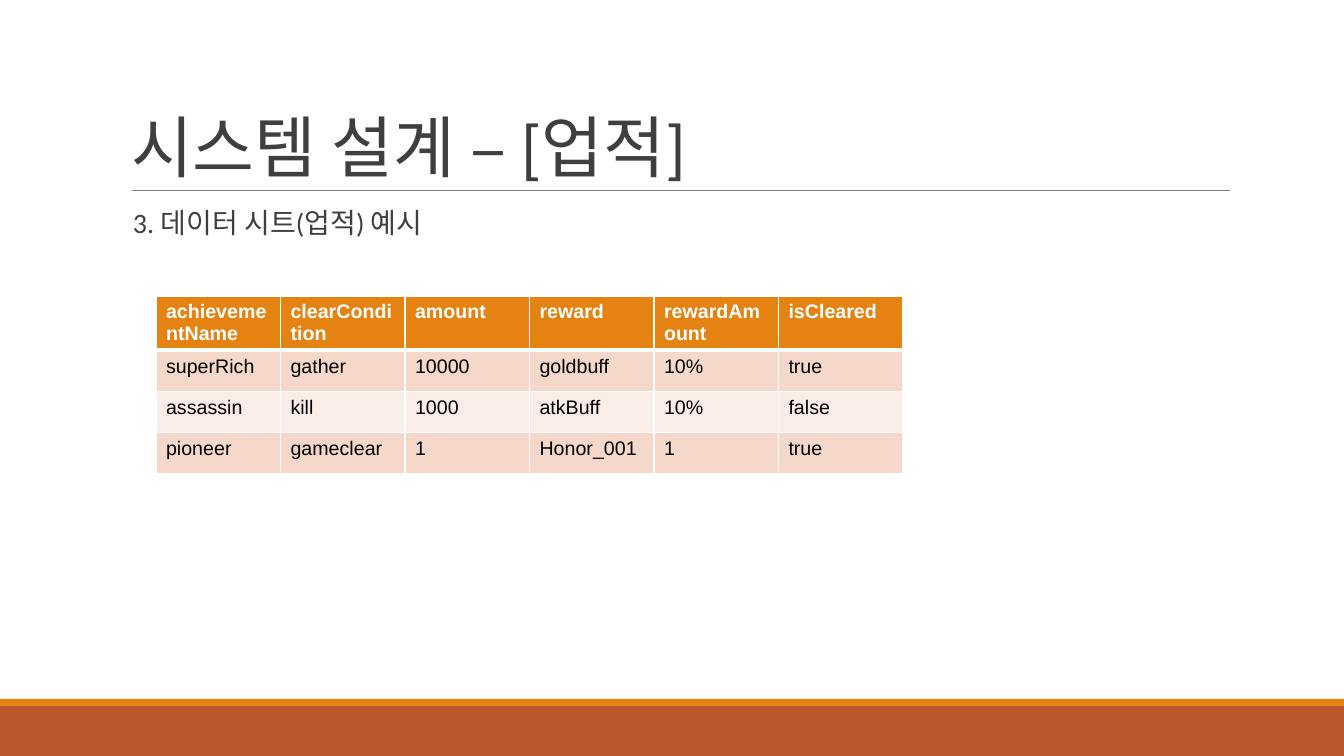
from lxml import etree
from pptx import Presentation
from pptx import util as u
from pptx.dml.color import RGBColor
from pptx.enum import shapes, text
from pptx.oxml import ns

PX = 914400 / 100.8

COLORS = {
    "rust": "BD582C", "orange": "E48312", "rule": "7F7F7F", "ink": "3F3F3F",
    "white": "FFFFFF", "black": "000000", "band": "F5D8CA", "pale": "FAECE6",
}

ACHIEVEMENTS = [
    ["achievementName", "clearCondition", "amount", "reward", "rewardAmount", "isCleared"],
    ["superRich", "gather", "10000", "goldbuff", "10%", "true"],
    ["assassin", "kill", "1000", "atkBuff", "10%", "false"],
    ["pioneer", "gameclear", "1", "Honor_001", "1", "true"],
]
HEADER_HEIGHT, ROW_HEIGHT = 54, 41


def px(length):
    return u.Emu(round(length * PX))


def color(name):
    return RGBColor.from_string(COLORS[name])


def set_all(target, values):
    for name, value in values.items():
        setattr(target, name, value)


def write(frame, words, font, ink, **para_format):
    para = frame.paragraphs[0]
    set_all(para, para_format)
    span = para.add_run()
    span.text = words
    set_all(span.font, font)
    span.font.color.rgb = color(ink)
    return para


def add_bar(page, top, height, fill):
    bar = page.shapes.add_shape(
        shapes.MSO_SHAPE.RECTANGLE, 0, px(top), px(1344), px(height))
    bar.shadow.inherit = False
    bar.fill.solid()
    bar.fill.fore_color.rgb = color(fill)
    bar.line.fill.background()


def add_rule(page, left, right, y):
    rule = page.shapes.add_connector(
        shapes.MSO_CONNECTOR.STRAIGHT, px(left), px(y), px(right), px(y))
    rule.line.color.rgb = color("rule")
    rule.line.width = u.Pt(0.75)
    etree.SubElement(rule._element.spPr, ns.qn("a:effectLst"))


def fill_placeholder(box, area, frame_format, words, size, **para_format):
    set_all(box, dict(zip(("left", "top", "width", "height"), map(px, area))))
    set_all(box.text_frame, {
        "word_wrap": True, "auto_size": text.MSO_AUTO_SIZE.NONE, **frame_format})
    return write(box.text_frame, words, {"name": "Calibri", "size": u.Pt(size)}, "ink",
                 alignment=text.PP_ALIGN.LEFT, **para_format)


def remove_bullet(para, left):
    props = para._p.get_or_add_pPr()
    props.set("marL", str(px(left)))
    props.set("indent", "0")
    etree.SubElement(props, ns.qn("a:buNone"))


def set_borders(cell, widths):
    props = cell._tc.get_or_add_tcPr()
    for place, (side, points) in enumerate(widths.items()):
        line = etree.Element(ns.qn(f"a:ln{side}"), w=str(u.Pt(points)))
        fill = etree.SubElement(line, ns.qn("a:solidFill"))
        etree.SubElement(fill, ns.qn("a:srgbClr"), val=COLORS["white"])
        props.insert(place, line)


def add_data_table(page, left, top, width, rows):
    height = HEADER_HEIGHT + ROW_HEIGHT * (len(rows) - 1)
    table = page.shapes.add_table(
        len(rows), len(rows[0]), px(left), px(top), px(width), px(height)).table
    for r, values in enumerate(rows):
        header = r == 0
        table.rows[r].height = px(HEADER_HEIGHT if header else ROW_HEIGHT)
        fill = "orange" if header else ("band" if r % 2 else "pale")
        for c, value in enumerate(values):
            cell = table.cell(r, c)
            cell.fill.solid()
            cell.fill.fore_color.rgb = color(fill)
            set_borders(cell, {"L": 1, "R": 1, "T": 3 if r == 1 else 1,
                               "B": 3 if header else 1})
            write(cell.text_frame, value,
                  {"name": "Arial", "size": u.Pt(14), "bold": header},
                  "white" if header else "black")


def main():
    deck = Presentation()
    deck.slide_width, deck.slide_height = px(1344), px(756)
    page = deck.slides.add_slide(deck.slide_layouts[1])

    # Footer bars and title rule
    add_bar(page, 706, 50, "rust")
    add_bar(page, 699, 7, "orange")
    add_rule(page, 132, 1230, 191)

    # Title and subheading
    title, body = page.placeholders
    fill_placeholder(title, (121, 31, 1109, 160),
                     {"vertical_anchor": text.MSO_ANCHOR.BOTTOM},
                     "시스템 설계 – [업적]", 48, line_spacing=0.85)
    heading = fill_placeholder(body, (121, 204, 1109, 444),
                               {"margin_left": 0, "margin_right": 0},
                               "3. 데이터 시트(업적) 예시", 20,
                               line_spacing=0.9, space_before=u.Pt(14))
    remove_bullet(heading, 12)

    # Achievement data
    add_data_table(page, 156, 296, 747, ACHIEVEMENTS)

    deck.save("out.pptx")


if __name__ == "__main__":
    main()
